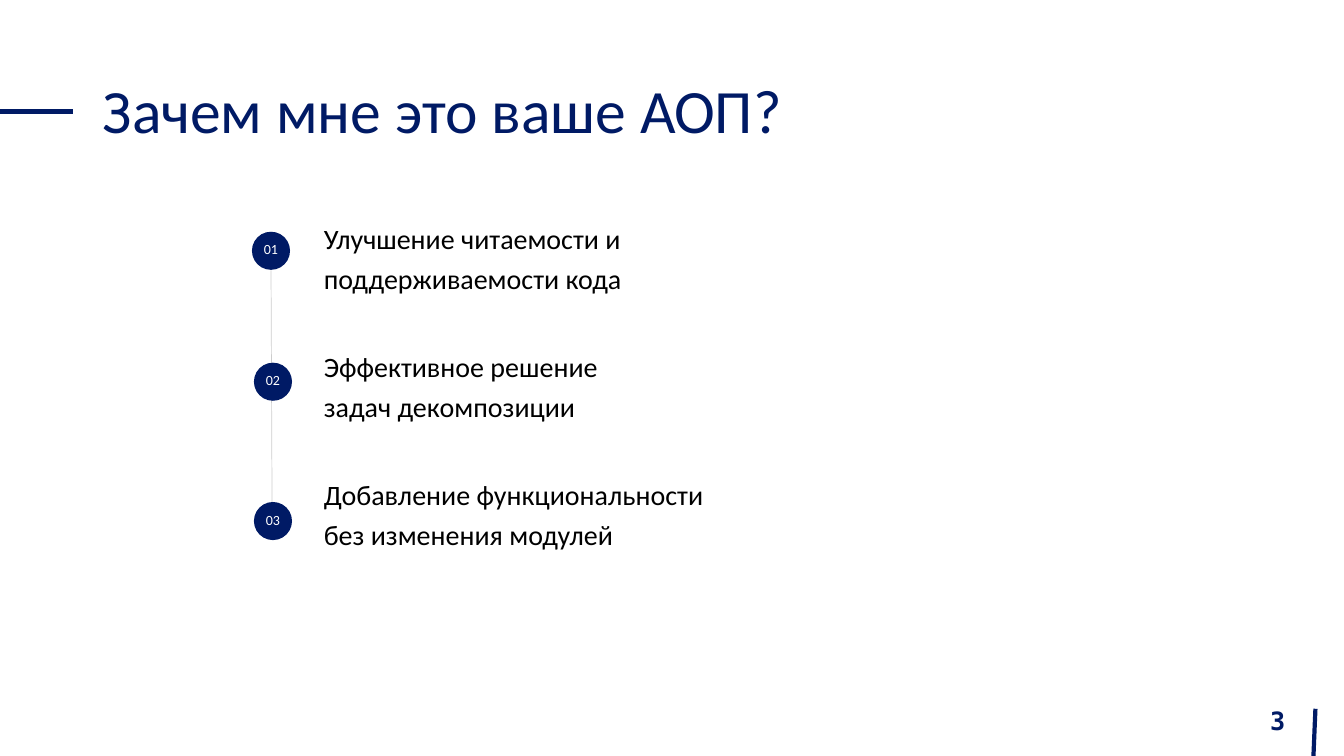
from lxml import etree
from pptx import Presentation
from pptx.dml.color import RGBColor
from pptx.enum.shapes import MSO_CONNECTOR as CONN, MSO_SHAPE as SHAPE
from pptx.enum.text import MSO_ANCHOR as ANCHOR, MSO_AUTO_SIZE as FIT, PP_ALIGN as ALIGN
from pptx.oxml.ns import qn
from pptx.util import Cm, Pt

NAVY, BLACK, WHITE = "001A65", "000000", "FFFFFF"
FONT = "Calibri"
# Circle left, circle top, text width, text
REASONS = [
    (6.35, 5.84, 9.02, "Улучшение читаемости и поддерживаемости кода"),
    (6.4, 9.14, 8.76, "Эффективное решение задач декомпозиции"),
    (6.4, 12.65, 10.52, "Добавление функциональности без изменения модулей"),
]
TEXT_LEFT, TEXT_TOP, TEXT_STEP = 8.16, 5.28, 3.23


def rgb(color):
    return RGBColor.from_string(color)


def set_text(sp, text, size, color, align=ALIGN.LEFT, spacing=1.0,
             anchor=ANCHOR.MIDDLE, font=FONT, bold=False):
    tf = sp.text_frame
    tf.text = text
    tf.word_wrap = True
    tf.auto_size = FIT.NONE
    tf.vertical_anchor = anchor
    p = tf.paragraphs[0]
    p.alignment, p.line_spacing = align, spacing
    p.font.name, p.font.size, p.font.bold = font, Pt(size), bold
    p.font.color.rgb = rgb(color)
    return tf


def add_line(s, x1, y1, x2, y2, color, width, opacity=100):
    line = s.shapes.add_connector(CONN.STRAIGHT, Cm(x1), Cm(y1), Cm(x2), Cm(y2))
    line.line.color.rgb = rgb(color)
    line.line.width = Pt(width)
    sp_pr = line._element.spPr
    if opacity < 100:
        clr = sp_pr.find(".//" + qn("a:srgbClr"))
        etree.SubElement(clr, qn("a:alpha")).set("val", str(opacity * 1000))
    etree.SubElement(sp_pr, qn("a:effectLst"))


def add_badge(s, left, top, label):
    sp = s.shapes.add_shape(SHAPE.OVAL, Cm(left), Cm(top), Cm(0.96), Cm(0.96))
    sp.shadow.inherit = False
    sp.fill.solid()
    sp.fill.fore_color.rgb = rgb(NAVY)
    sp.line.fill.background()
    tf = set_text(sp, label, 10, WHITE, ALIGN.CENTER, 0.8)
    tf.margin_left = tf.margin_right = tf.margin_top = tf.margin_bottom = 0


def add_reason(s, top, width, text):
    sp = s.shapes.add_textbox(Cm(TEXT_LEFT), Cm(top), Cm(width), Cm(2.24))
    tf = set_text(sp, text, 20, BLACK, spacing=1.2, anchor=ANCHOR.TOP)
    tf.margin_left = tf.margin_right = 0


def main():
    prs = Presentation()
    prs.slide_width, prs.slide_height = Cm(33.87), Cm(19.05)
    s = prs.slides.add_slide(prs.slide_layouts[5])

    # Title with its dash
    title = s.shapes.title
    title.left, title.top, title.width, title.height = Cm(2.34), Cm(1.02), Cm(29.21), Cm(3.68)
    set_text(title, "Зачем мне это ваше АОП?", 44, NAVY, spacing=0.9)
    add_line(s, 0, 2.8, 1.85, 2.8, NAVY, 3.5)

    # Numbered reasons along a thin line
    add_line(s, 6.83, 6.81, 6.86, 13.61, BLACK, 0.5, opacity=20)
    for i, (left, top, width, text) in enumerate(REASONS):
        add_badge(s, left, top, f"{i + 1:02}")
        add_reason(s, TEXT_TOP + i * TEXT_STEP, width, text)

    # Page number with its mark
    number = s.shapes.add_textbox(Cm(25.02), Cm(17.65), Cm(7.62), Cm(1.02))
    set_text(number, "3", 18, NAVY, ALIGN.RIGHT, font="DejaVu Sans Mono", bold=True)
    add_line(s, 33.15, 17.86, 33.1, 19.05, NAVY, 3)

    prs.save("out.pptx")


if __name__ == "__main__":
    main()
